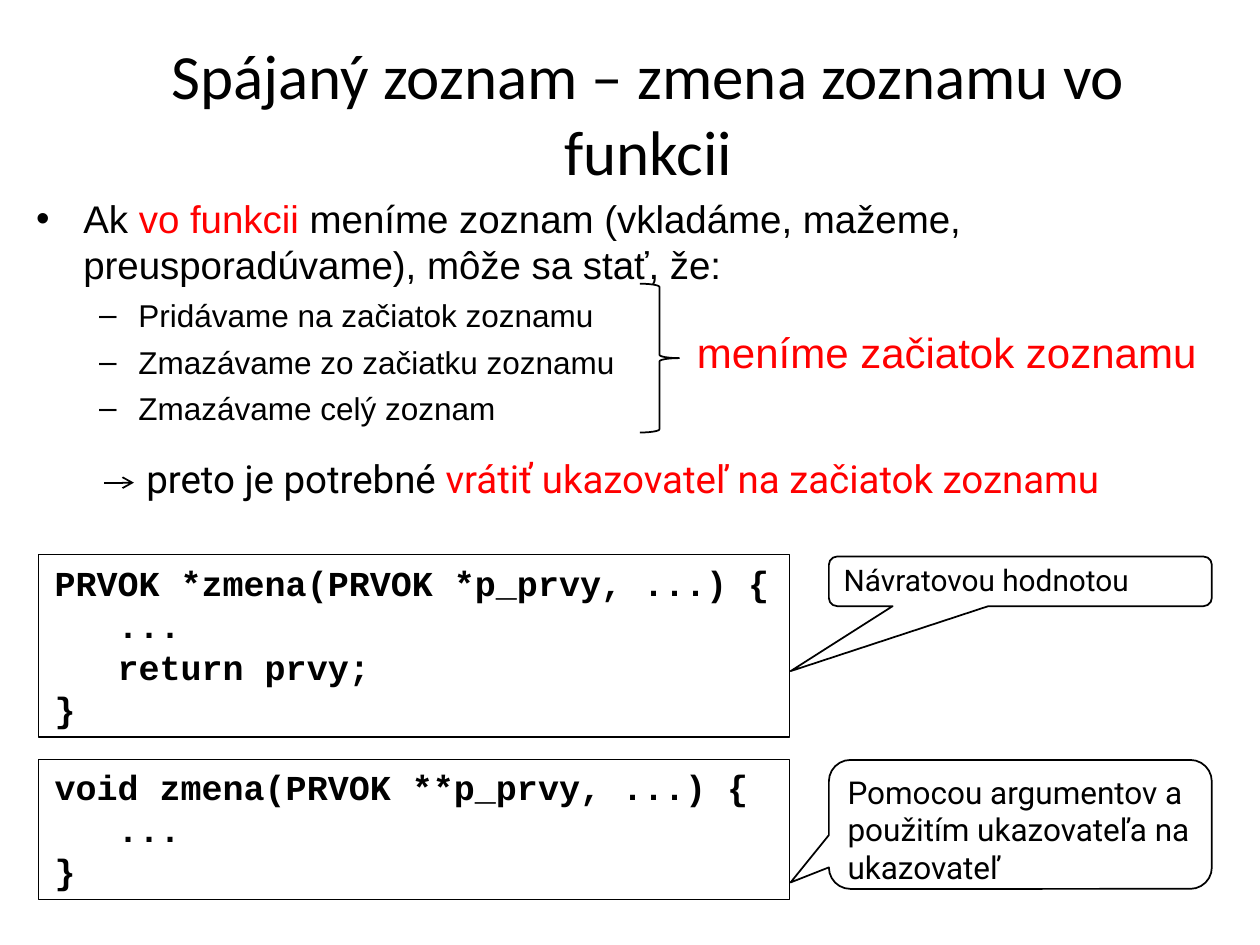
from lxml import etree
from pptx import Presentation
from pptx.dml.color import RGBColor
from pptx.enum.shapes import MSO_CONNECTOR, MSO_SHAPE
from pptx.enum.text import MSO_ANCHOR, MSO_AUTO_SIZE, PP_ALIGN
from pptx.oxml.ns import qn
from pptx.util import Cm, Pt

RECT = MSO_SHAPE.RECTANGLE
CALLOUT = MSO_SHAPE.ROUNDED_RECTANGULAR_CALLOUT
BRACE = MSO_SHAPE.RIGHT_BRACE
LINE = MSO_CONNECTOR.STRAIGHT
TOP, MIDDLE = MSO_ANCHOR.TOP, MSO_ANCHOR.MIDDLE
LEFT, CENTER = PP_ALIGN.LEFT, PP_ALIGN.CENTER
FIXED = MSO_AUTO_SIZE.NONE
BLACK, RED, WHITE = "000000", "FF0000", "FFFFFF"


def paint(code):
    """Turn a hex string into a colour."""
    return RGBColor.from_string(code)


def write(para, text, font="Arial", size=22, color=BLACK, bold=False):
    """Add one formatted run to a paragraph."""
    run = para.add_run()
    run.text = text
    run.font.name, run.font.size, run.font.bold = font, Pt(size), bold
    run.font.color.rgb = paint(color)


class Deck:
    """Hold the style and the current slide."""

    def __init__(self):
        """Open a deck with one titled list slide."""
        self.show = Presentation()
        self.show.slide_width, self.show.slide_height = Cm(25.4), Cm(19.05)
        self.slide = self.show.slides.add_slide(self.show.slide_layouts[1])
        self.shapes = self.slide.shapes

    def place(self, shape, box):
        """Move a shape to a box in centimetres."""
        shape.left, shape.top, shape.width, shape.height = map(Cm, box)

    def frame(self, shape, anchor=TOP, left=0.25, right=0.25):
        """Prepare the text frame of a shape."""
        frame = shape.text_frame
        frame.word_wrap, frame.auto_size = True, FIXED
        frame.vertical_anchor = anchor
        frame.margin_left, frame.margin_right = Cm(left), Cm(right)
        frame.margin_top = frame.margin_bottom = Cm(0.13)
        return frame

    def title(self, text, box):
        """Fill the title placeholder."""
        self.place(self.shapes.title, box)
        para = self.frame(self.shapes.title, MIDDLE, 0, 0).paragraphs[0]
        para.alignment = CENTER
        write(para, text, font="Calibri", size=36)

    def list(self, lead, items, box):
        """Fill the body with a lead point and its items."""
        body = self.slide.placeholders[1]
        self.place(body, box)
        frame = self.frame(body)
        para = frame.paragraphs[0]
        self.indent(para, 0.95, 0.95, 0)
        for text, color in lead:
            write(para, text, color=color)
        for item in items:
            para = frame.add_paragraph()
            para.level = 1
            self.indent(para, 2.06, 0.79, 5)
            write(para, item, size=18)

    def indent(self, para, left, hang, gap):
        """Set the hanging indent and space before."""
        props = para._p.get_or_add_pPr()
        props.set("marL", str(Cm(left)))
        props.set("indent", str(-Cm(hang)))
        para.space_before = Pt(gap)

    def text(self, runs, box, **form):
        """Add a text box of coloured runs."""
        note = self.shapes.add_textbox(*map(Cm, box))
        para = self.frame(note).paragraphs[0]
        for text, color in runs:
            write(para, text, color=color, **form)

    def shape(self, kind, box, width=1, fill=None):
        """Add an outlined preset shape."""
        shape = self.shapes.add_shape(kind, *map(Cm, box))
        shape.shadow.inherit = False
        if fill:
            shape.fill.solid()
            shape.fill.fore_color.rgb = paint(fill)
        else:
            shape.fill.background()
        shape.line.color.rgb, shape.line.width = paint(BLACK), Pt(width)
        return shape

    def code(self, lines, box):
        """Add a framed block of code."""
        frame = self.frame(self.shape(RECT, box, 0.75, WHITE), left=0.33, right=0)
        for i, line in enumerate(lines):
            para = frame.add_paragraph() if i else frame.paragraphs[0]
            para.alignment = LEFT
            write(para, line, font="Courier New", size=20, bold=True)

    def callout(self, text, box, tip, size, pitch=1.0):
        """Add a speech bubble with its tip."""
        shape = self.shape(CALLOUT, box)
        shape.adjustments[0], shape.adjustments[1] = tip
        para = self.frame(shape).paragraphs[0]
        para.alignment, para.line_spacing = LEFT, pitch
        write(para, text, font="Roboto", size=size)

    def arrow(self, start, end):
        """Add a straight arrow."""
        line = self.shapes.add_connector(LINE, *map(Cm, start + end))
        line.line.color.rgb, line.line.width = paint(BLACK), Pt(1)
        etree.SubElement(line.line._get_or_add_ln(), qn("a:tailEnd"), type="arrow")
        etree.SubElement(line._element.spPr, qn("a:effectLst"))


def main():
    """Build the slide and save it."""
    deck = Deck()
    deck.title("Spájaný zoznam – zmena zoznamu vo funkcii", (1.7, 0.43, 22.73, 3.66))
    deck.list(
        [("Ak ", BLACK), ("vo funkcii ", RED),
         ("meníme zoznam (vkladáme, mažeme, preusporadúvame), môže sa stať, že:", BLACK)],
        ["Pridávame na začiatok zoznamu", "Zmazávame zo začiatku zoznamu",
         "Zmazávame celý zoznam"],
        (0.48, 3.8, 23, 5))
    deck.shape(BRACE, (12.9, 5.72, 0.79, 3))
    deck.text([("meníme začiatok zoznamu", RED)], (13.8, 6.45, 11, 1.27), size=24)
    deck.arrow((2.1, 9.73), (2.7, 9.73))
    deck.text([("preto je potrebné ", BLACK),
               ("vrátiť ukazovateľ na začiatok zoznamu", RED)],
              (2.7, 9.04, 20.6, 1.2), font="Roboto")
    deck.code(["PRVOK *zmena(PRVOK *p_prvy, ...) {", "   ...", "   return prvy;", "}"],
              (0.77, 11.18, 15.15, 3.68))
    deck.callout("Návratovou hodnotou", (16.71, 11.22, 7.72, 1),
                 (-0.6, 1.81), 17, 0.9)
    deck.code(["void zmena(PRVOK **p_prvy, ...) {", "   ...", "}"],
              (0.77, 15.31, 15.15, 2.82))
    deck.callout("Pomocou argumentov a použitím ukazovateľa na ukazovateľ",
                 (16.71, 15.32, 7.72, 2.6), (-0.6, 0.45), 18)
    deck.show.save("out.pptx")


if __name__ == "__main__":
    main()
